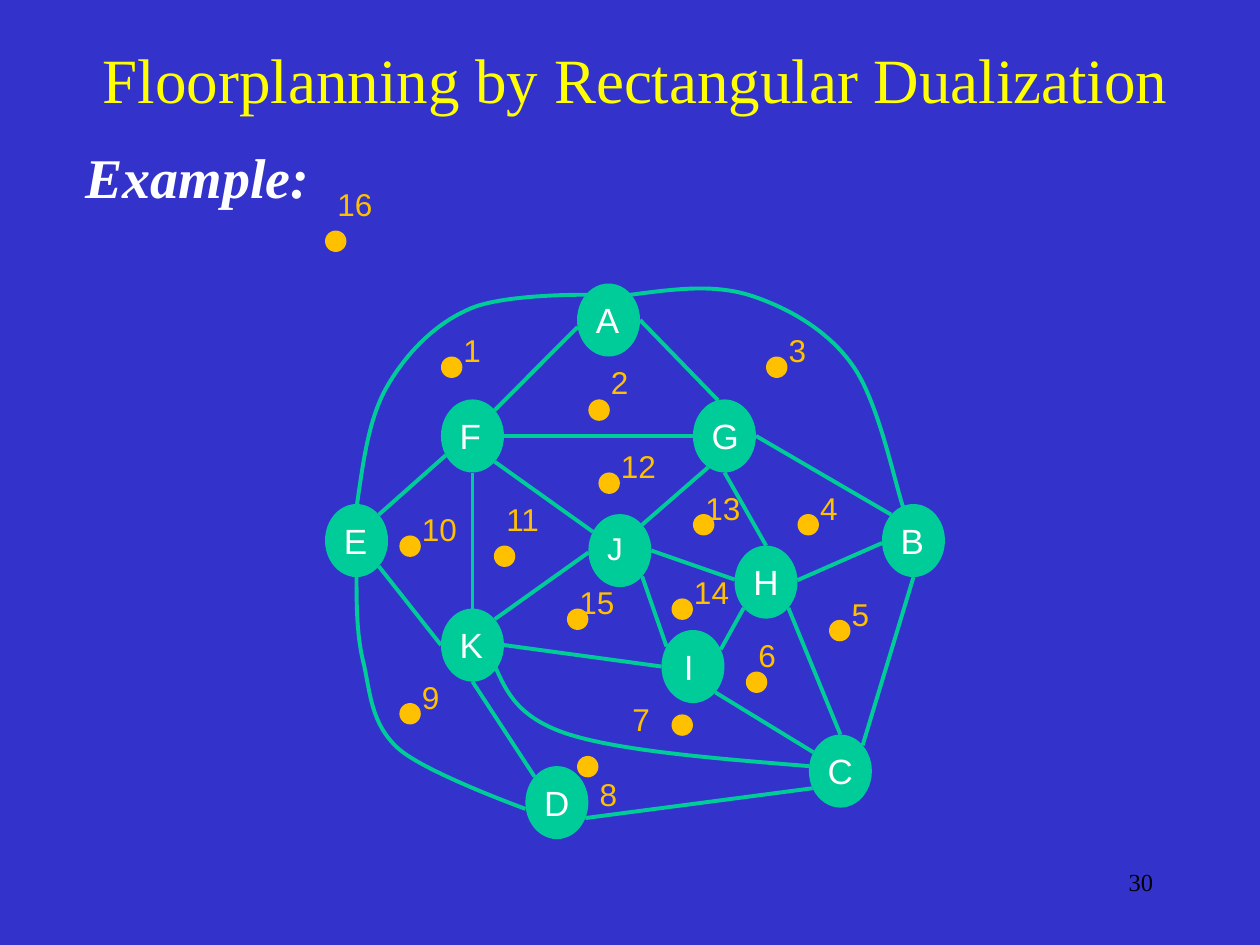
from dataclasses import dataclass
from math import cos, radians, sin
from lxml.etree import SubElement
from pptx import Presentation
from pptx.dml.color import RGBColor
from pptx.enum.shapes import MSO_CONNECTOR, MSO_SHAPE
from pptx.enum.text import MSO_ANCHOR, PP_ALIGN
from pptx.oxml.ns import qn
from pptx.util import Inches, Pt

BLUE, GREEN, EDGE = "3333CC", "00CC99", "00CC98"
GOLD, WHITE, YELLOW, BLACK = "FFC000", "FFFFFF", "FFFF00", "000000"
SERIF, SANS = "Times New Roman", "Arial"
WIDE, TALL = 0.5, 0.58


@dataclass
class Node:
    name: str
    x: float
    y: float
    dx: float = 0.05
    size: int = 20

    def rim(self, angle: float) -> tuple[float, float]:
        turn = radians(angle)
        return (self.x + WIDE / 2 * (1 + cos(turn)),
                self.y + TALL / 2 * (1 - sin(turn)))


@dataclass
class Dot:
    name: str
    x: float
    y: float
    dx: float = 0.08
    dy: float = -0.25


@dataclass
class Edge:
    start: str
    leave: float
    end: str
    enter: float


NODES = [
    Node("F", 3.5, 3.17), Node("A", 4.58, 2.25), Node("G", 5.5, 3.17),
    Node("E", 2.58, 4), Node("J", 4.67, 4.08, size=18), Node("B", 7, 4),
    Node("K", 3.5, 4.83), Node("I", 5.25, 5, dx=0.08), Node("H", 5.83, 4.33),
    Node("D", 4.17, 6.08), Node("C", 6.42, 5.83),
]

EDGES = [
    Edge("F", 0, "G", 180), Edge("F", 270, "K", 90), Edge("K", 0, "I", 180),
    Edge("I", 28, "H", 225), Edge("G", 270, "H", 90), Edge("F", 315, "J", 149),
    Edge("J", 0, "H", 176), Edge("J", 315, "I", 147), Edge("J", 45, "G", 239),
    Edge("J", 183, "K", 45), Edge("A", 191, "F", 45), Edge("A", 0, "G", 102),
    Edge("F", 212, "E", 45), Edge("E", 315, "K", 180), Edge("G", 0, "B", 135),
    Edge("B", 184, "H", 3), Edge("H", 315, "C", 90), Edge("I", 315, "C", 149),
    Edge("K", 270, "D", 135), Edge("D", 335, "C", 208), Edge("B", 270, "C", 45),
]

CURVES = [
    [(2.83, 4.03), (2.88, 3.69), (2.92, 3.35), (3.06, 3.09), (3.21, 2.82),
     (3.44, 2.58), (3.71, 2.46), (3.97, 2.33), (4.67, 2.34), (4.67, 2.34)],
    [(2.83, 4.56), (2.83, 4.81), (2.83, 5.05), (2.89, 5.28), (2.94, 5.51),
     (2.95, 5.75), (3.16, 5.94), (3.37, 6.13), (4.17, 6.42), (4.17, 6.42)],
    [(5, 2.34), (5.32, 2.3), (5.64, 2.25), (5.94, 2.34), (6.23, 2.43),
     (6.56, 2.61), (6.76, 2.89), (6.97, 3.17), (7.1, 3.83), (7.17, 4.03)],
    [(3.93, 5.29), (4.02, 5.49), (4.11, 5.7), (4.52, 5.83),
     (4.94, 5.96), (5.68, 6.02), (6.42, 6.08)],
]

DOTS = [
    Dot("1", 3.5, 2.83), Dot("2", 4.67, 3.17, dy=-0.34), Dot("3", 6.08, 2.83),
    Dot("4", 6.33, 4.08), Dot("5", 6.58, 4.92), Dot("6", 5.92, 5.33, 0, -0.33),
    Dot("7", 5.33, 5.67, -0.41, -0.16), Dot("8", 4.58, 6, dy=0.1),
    Dot("9", 3.17, 5.58), Dot("16", 2.58, 1.83, 0, -0.41),
    Dot("10", 3.17, 4.25), Dot("11", 3.92, 4.33, 0, -0.41),
    Dot("12", 4.75, 3.75), Dot("13", 5.5, 4.08, 0),
    Dot("14", 5.33, 4.75), Dot("15", 4.5, 4.83, 0),
]


def color(code: str) -> RGBColor:
    return RGBColor.from_string(code)


def add_text(shapes, text: str, x: float, y: float, w: float, h: float,
             size: int, code: str, face: str = SANS, align=PP_ALIGN.LEFT):
    box = shapes.add_textbox(Inches(x), Inches(y), Inches(w), Inches(h))
    frame = box.text_frame
    frame.word_wrap = True
    frame.text = text
    line = frame.paragraphs[0]
    line.alignment = align
    font = line.runs[0].font
    font.name, font.size = face, Pt(size)
    font.color.rgb = color(code)
    return frame


def add_oval(shapes, x: float, y: float, w: float, h: float, code: str) -> None:
    oval = shapes.add_shape(MSO_SHAPE.OVAL, Inches(x), Inches(y), Inches(w), Inches(h))
    oval.shadow.inherit = False
    oval.fill.solid()
    oval.fill.fore_color.rgb = color(code)
    oval.line.fill.background()


def draw_node(shapes, node: Node) -> None:
    add_oval(shapes, node.x, node.y, WIDE, TALL, GREEN)
    add_text(shapes, node.name, node.x + node.dx, node.y + 0.07, 0.42, 0.44,
             node.size, WHITE)


def draw_dot(shapes, dot: Dot) -> None:
    add_oval(shapes, dot.x, dot.y, 0.17, 0.17, GOLD)
    width = 0.5 if len(dot.name) > 1 else 0.42
    add_text(shapes, dot.name, dot.x + dot.dx, dot.y + dot.dy, width, 0.4, 18, GOLD)


def ink(line) -> None:
    line.color.rgb = color(EDGE)
    line.width = Pt(2.25)


def draw_edge(shapes, edge: Edge, nodes: dict[str, Node]) -> None:
    ends = nodes[edge.start].rim(edge.leave) + nodes[edge.end].rim(edge.enter)
    link = shapes.add_connector(MSO_CONNECTOR.STRAIGHT, *map(Inches, ends))
    ink(link.line)
    SubElement(link._element.spPr, qn("a:effectLst"))


def draw_curve(shapes, points: list[tuple[float, float]]) -> None:
    first, *rest = [(Inches(x), Inches(y)) for x, y in points]
    pen = shapes.build_freeform(*first)
    pen.add_line_segments(rest, close=False)
    curve = pen.convert_to_shape()
    curve.shadow.inherit = False
    curve.fill.background()
    ink(curve.line)
    steps = list(curve._element.iter(qn("a:lnTo")))
    track = steps[0].getparent()
    for start in range(0, len(steps), 3):
        bend = SubElement(track, qn("a:cubicBezTo"))
        for step in steps[start:start + 3]:
            bend.append(step[0])
            track.remove(step)


def main() -> None:
    deck = Presentation()
    deck.slide_width, deck.slide_height = Inches(10), Inches(7.5)
    slide = deck.slides.add_slide(deck.slide_layouts[6])
    slide.background.fill.solid()
    slide.background.fill.fore_color.rgb = color(BLUE)
    shapes = slide.shapes

    head = add_text(shapes, "Example:", 0.58, 1.08, 2.25, 0.67, 32, WHITE, SERIF)
    font = head.paragraphs[0].runs[0].font
    font.bold = font.italic = True
    title = add_text(shapes, "Floorplanning by Rectangular Dualization",
                     0.17, 0.08, 9.75, 1.08, 36, YELLOW, SERIF, PP_ALIGN.CENTER)
    title.vertical_anchor = MSO_ANCHOR.MIDDLE

    for node in NODES:
        draw_node(shapes, node)
    nodes = {node.name: node for node in NODES}
    for edge in EDGES:
        draw_edge(shapes, edge, nodes)
    for curve in CURVES:
        draw_curve(shapes, curve)
    for dot in DOTS:
        draw_dot(shapes, dot)
    add_text(shapes, "30", 7.17, 6.83, 2.08, 0.5, 14, BLACK, SERIF, PP_ALIGN.RIGHT)
    deck.save("out.pptx")


if __name__ == "__main__":
    main()
